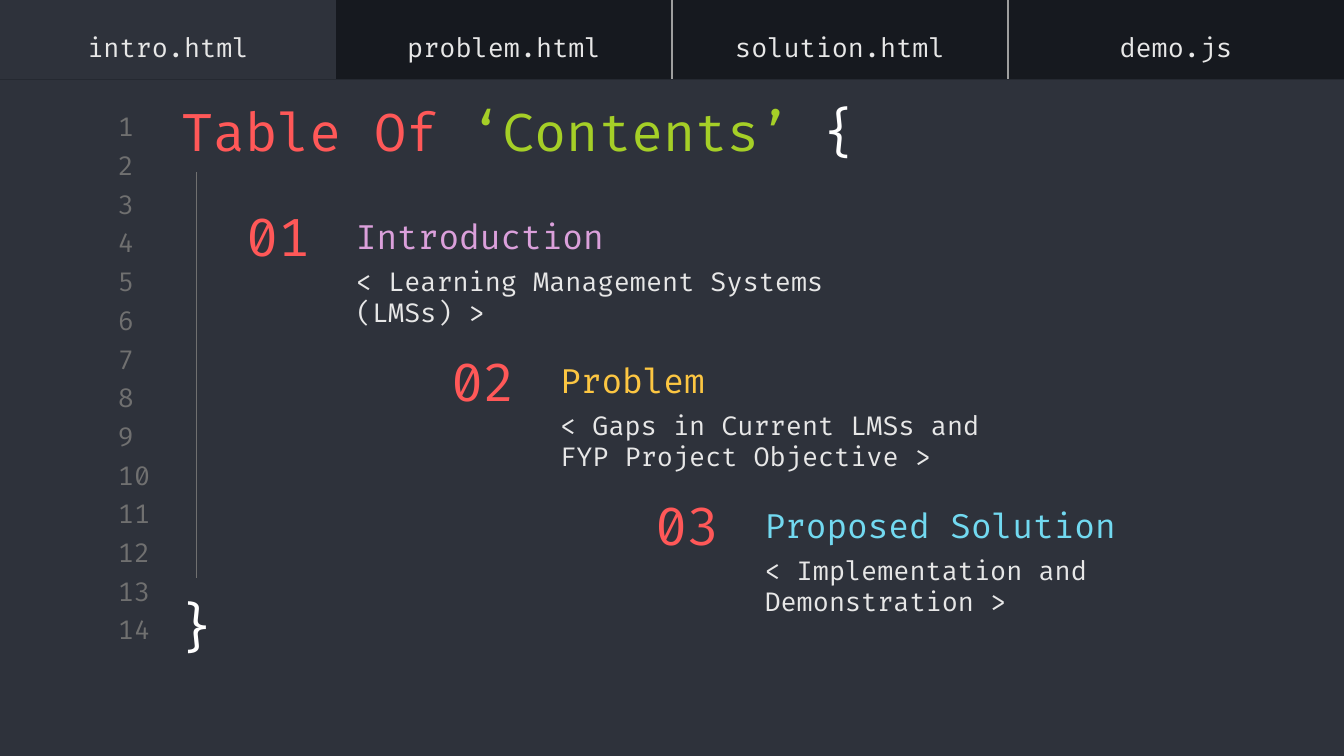
from lxml import etree
from pptx import Presentation
from pptx.dml.color import RGBColor
from pptx.enum import shapes, text
from pptx.oxml import ns
from pptx.util import Inches, Pt

HUES = {
    "back": "16191F", "panel": "2E323B", "dim": "707070", "rule": "9E9E9E",
    "text": "E7E7E7", "white": "FFFFFF", "red": "FF5858", "green": "A5CF27",
    "pink": "DBA0DB", "gold": "FCC642", "cyan": "72D9F0",
}
FONT = "Fira Code"
LEFT, MID = text.PP_ALIGN.LEFT, text.PP_ALIGN.CENTER
TOP, CTR = text.MSO_ANCHOR.TOP, text.MSO_ANCHOR.MIDDLE


def rgb(name):
    return RGBColor.from_string(HUES[name])


def write(frame, runs, size, align=LEFT, anchor=CTR):
    """Fill a text frame with one paragraph of (words, hue) runs."""
    form = {"word_wrap": True, "auto_size": text.MSO_AUTO_SIZE.NONE,
            "vertical_anchor": anchor}
    for side in ("left", "top", "right", "bottom"):
        form["margin_" + side] = Inches(0.1)
    for key, val in form.items():
        setattr(frame, key, val)
    para = frame.paragraphs[0]
    para.alignment = align
    for words, hue in runs:
        run = para.add_run()
        run.text = words
        run.font.name, run.font.size = FONT, Pt(size)
        run.font.color.rgb = rgb(hue)


prs = Presentation()
prs.slide_width, prs.slide_height = Inches(10), Inches(5.625)
slide = prs.slides.add_slide(prs.slide_layouts[5])
slide.background.fill.solid()
slide.background.fill.fore_color.rgb = rgb("back")
items = slide.shapes

# Editor panel and status bar
for top, high in ((0.59, 4.44), (4.98, 0.645)):
    pane = items.add_shape(shapes.MSO_SHAPE.RECTANGLE, Inches(0), Inches(top),
                           Inches(10), Inches(high))
    pane.shadow.inherit = False
    pane.fill.solid()
    pane.fill.fore_color.rgb = rgb("panel")
    pane.line.fill.background()

# Line numbers
for num in range(14):
    box = items.add_textbox(Inches(0.78), Inches(0.82 + 0.288 * num),
                            Inches(0.47), Inches(0.24))
    write(box.text_frame, [(str(num + 1), "dim")], 14)

# Title, raised above the panel
title = items.title
items._spTree.append(title._element)
for key, val in {"left": 1.25, "top": 0.64, "width": 7.97, "height": 0.59}.items():
    setattr(title, key, Inches(val))
write(title.text_frame,
      [("Table Of ", "red"), ("‘Contents’ ", "green"), ("{", "white")],
      28, anchor=TOP)

# Contents, stepping down to the right
parts = [
    ("Introduction", "pink", "< Learning Management Systems (LMSs) >", 3.75),
    ("Problem", "gold", "< Gaps in Current LMSs and FYP Project Objective >", 3.42),
    ("Proposed Solution", "cyan", "< Implementation and Demonstration >", 3.42),
]
for num, (head, hue, note, wide) in enumerate(parts):
    left, top = 1.6 + 1.52 * num, 1.57 + 1.075 * num
    for x, y, w, h, words, tint, size, align in (
        (0, 0, 0.95, 0.37, f"{num + 1:02}", "red", 28, MID),
        (0.95, 0.37, wide, 0.53, note, "text", 14, LEFT),
        (0.95, 0, 3.42, 0.37, head, hue, 18, LEFT),
    ):
        box = items.add_textbox(Inches(left + x), Inches(top + y),
                                Inches(w), Inches(h))
        write(box.text_frame, [(words, tint)], size, align)

# Closing brace and its guide line
brace = items.add_textbox(Inches(1.19), Inches(4.32), Inches(0.55), Inches(0.67))
write(brace.text_frame, [("}", "white")], 28, MID, TOP)
guide = items.add_connector(shapes.MSO_CONNECTOR.STRAIGHT, Inches(1.46),
                            Inches(1.28), Inches(1.46), Inches(4.3))
guide.line.color.rgb = rgb("dim")
guide.line.width = Pt(0.75)
etree.SubElement(guide._element.spPr, ns.qn("a:effectLst"))

# File tabs
tabs = ["intro.html", "problem.html", "solution.html", "demo.js"]
grid = items.add_table(1, len(tabs), Inches(0), Inches(0), Inches(10), Inches(0.59))
table = grid.table
table.first_row = table.horz_banding = False
style = table._tbl.tblPr.find(ns.qn("a:tableStyleId"))
style.text = "{2D5ABB26-0587-4C30-8999-92F81FD0307C}"  # no style, no grid
for col, name in enumerate(tabs):
    cell = table.cell(0, col)
    props = cell._tc.get_or_add_tcPr()
    for tag, shown in (("a:lnL", col > 1), ("a:lnR", 0 < col < len(tabs) - 1)):
        if shown:
            edge = etree.SubElement(props, ns.qn(tag), w=str(Pt(0.75)))
            fill = etree.SubElement(edge, ns.qn("a:solidFill"))
            etree.SubElement(fill, ns.qn("a:srgbClr"), val=HUES["rule"])
    if col == 0:
        cell.fill.solid()
        cell.fill.fore_color.rgb = rgb("panel")
    else:
        cell.fill.background()
    for side in ("left", "top", "right", "bottom"):
        setattr(cell, "margin_" + side, Inches(0.1))
    cell.vertical_anchor = text.MSO_ANCHOR.BOTTOM
    para = cell.text_frame.paragraphs[0]
    para.alignment = MID
    run = para.add_run()
    run.text = name
    run.font.name, run.font.size = FONT, Pt(14)
    run.font.color.rgb = rgb("text")

prs.save("out.pptx")
